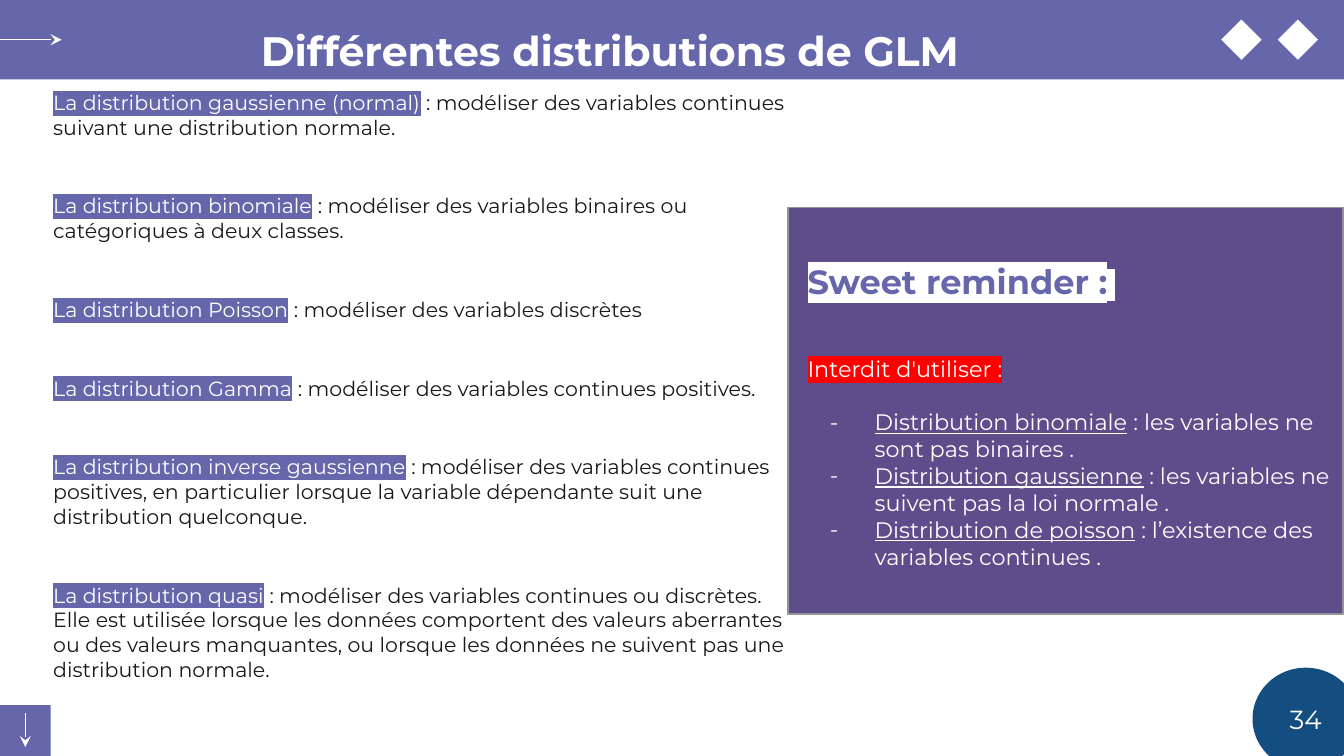
from pptx import Presentation
from pptx.dml.color import RGBColor
from pptx.enum.shapes import MSO_CONNECTOR as Connector, MSO_SHAPE as Shape
from pptx.enum.text import MSO_ANCHOR as Anchor, MSO_AUTO_SIZE as AutoSize, PP_ALIGN as Align
from pptx.oxml.ns import qn
from pptx.util import Pt
from lxml.etree import SubElement

WHITE = RGBColor(0xFF, 0xFF, 0xFF)
INK = RGBColor(0x19, 0x19, 0x19)
LILAC = RGBColor(0x66, 0x67, 0xAB)
PURPLE = RGBColor(0x5F, 0x4C, 0x8A)
GREY = RGBColor(0x91, 0x93, 0x97)
BLUE = RGBColor(0x14, 0x4D, 0x80)
RED = RGBColor(0xFF, 0x00, 0x00)

DISTRIBUTIONS = [
    ("La distribution gaussienne (normal)",
     " : modéliser des variables continues suivant une distribution normale."),
    ("La distribution binomiale",
     " : modéliser des variables binaires ou catégoriques à deux classes."),
    ("La distribution Poisson", " : modéliser des variables discrètes"),
    ("La distribution Gamma", " : modéliser des variables continues positives."),
    ("La distribution inverse gaussienne",
     " : modéliser des variables continues positives, en particulier lorsque la variable "
     "dépendante suit une distribution quelconque."),
    ("La distribution quasi",
     " : modéliser des variables continues ou discrètes. Elle est utilisée lorsque les données "
     "comportent des valeurs aberrantes ou des valeurs manquantes, ou lorsque les données ne "
     "suivent pas une distribution normale."),
]
FORBIDDEN = [
    ("Distribution binomiale", " : les variables ne sont pas binaires ."),
    ("Distribution gaussienne", " : les variables ne suivent pas la loi normale ."),
    ("Distribution de poisson", " : l’existence des variables continues ."),
]


def add_span(para, text, size=12, color=WHITE, bold=False, underline=False, highlight=None):
    span = para.add_run()
    span.text = text
    font = span.font
    font.size, font.bold, font.underline = Pt(size), bold, underline
    font.color.rgb = color
    font.name = "Montserrat"
    if highlight is not None:
        properties = span._r.get_or_add_rPr()
        mark = SubElement(properties, qn("a:highlight"))
        SubElement(mark, qn("a:srgbClr"), val=str(highlight))
        properties.find(qn("a:latin")).addprevious(mark)


def set_bullet(para, mark=None, margin=0, indent=0):
    """Give a paragraph a white bullet, or none, and its hanging indent."""
    properties = para._p.get_or_add_pPr()
    properties.set("marL", str(Pt(margin)))
    properties.set("indent", str(Pt(indent)))
    if mark is None:
        SubElement(properties, qn("a:buNone"))
        return
    color = SubElement(properties, qn("a:buClr"))
    SubElement(color, qn("a:srgbClr"), val=str(WHITE))
    SubElement(properties, qn("a:buFont"), typeface="Montserrat")
    SubElement(properties, qn("a:buChar"), char=mark)


class Builder:
    inset = Pt(7.2)
    line_width = Pt(0.75)

    def __init__(self, page):
        self.page = page

    def shape(self, kind, left, top, width, height, fill, line=None):
        shape = self.page.shapes.add_shape(kind, Pt(left), Pt(top), Pt(width), Pt(height))
        shape.shadow.inherit = False
        shape.fill.solid()
        shape.fill.fore_color.rgb = fill
        if line is None:
            shape.line.fill.background()
        else:
            shape.line.color.rgb = line
            shape.line.width = self.line_width
        return shape

    def arrow(self, x1, y1, x2, y2):
        arrow = self.page.shapes.add_connector(
            Connector.STRAIGHT, Pt(x1), Pt(y1), Pt(x2), Pt(y2))
        arrow.line.color.rgb = WHITE
        arrow.line.width = self.line_width
        SubElement(arrow.line._get_or_add_ln(), qn("a:tailEnd"), type="stealth")
        SubElement(arrow._element.spPr, qn("a:effectLst"))

    def frame(self, box, anchor=Anchor.TOP):
        """Set up the text frame of a box and return it."""
        frame = box.text_frame
        frame.word_wrap = True
        frame.auto_size = AutoSize.NONE
        frame.vertical_anchor = anchor
        frame.margin_left = frame.margin_right = self.inset
        frame.margin_top = frame.margin_bottom = self.inset
        return frame

    def placeholder(self, index, left, top, width, height):
        """Place a template placeholder in front of what is drawn so far."""
        box = self.page.placeholders[index]
        box.left, box.top, box.width, box.height = Pt(left), Pt(top), Pt(width), Pt(height)
        box.element.getparent().append(box.element)
        return self.frame(box)

    def text(self, left, top, width, height):
        return self.frame(self.page.shapes.add_textbox(Pt(left), Pt(top), Pt(width), Pt(height)))

    def paragraph(self, frame, before=0, align=Align.LEFT, first=False):
        para = frame.paragraphs[0] if first else frame.add_paragraph()
        para.alignment = align
        para.space_before, para.space_after = Pt(before), Pt(0)
        return para


def main():
    deck = Presentation()
    deck.slide_width, deck.slide_height = Pt(720), Pt(405)
    page = deck.slides.add_slide(deck.slide_layouts[1])
    build = Builder(page)

    build.shape(Shape.RECTANGLE, 0, 0, 720, 42.5, LILAC)
    for left in (654.3, 684.5):
        build.shape(Shape.DIAMOND, left, 10.5, 21.6, 21.6, WHITE)
    build.arrow(0, 21.3, 33, 21.3)
    build.shape(Shape.RECTANGLE, 0, 377.8, 27.2, 27.2, LILAC)
    build.arrow(13.6, 382.2, 13.6, 400.2)
    build.shape(Shape.RECTANGLE, 422.2, 111.2, 297.4, 217.8, PURPLE, line=GREY)

    title = build.paragraph(build.placeholder(0, 132.5, -1.4, 632, 75.6), first=True)
    title.line_spacing = 1.3
    add_span(title, "Différentes distributions de GLM", size=22, bold=True)

    body = build.placeholder(1, 21.3, 41, 411, 390)
    for number, (name, use) in enumerate(DISTRIBUTIONS):
        para = build.paragraph(body, before=29 if number else 0, first=number == 0)
        set_bullet(para)
        add_span(para, name, size=11, highlight=LILAC)
        add_span(para, use, size=11, color=INK)

    reminder = build.text(425.5, 132.5, 303, 181.4)
    heading = build.paragraph(reminder, first=True)
    add_span(heading, "Sweet reminder :", size=18, color=LILAC, bold=True, highlight=WHITE)
    add_span(heading, " ", size=14, color=LILAC, bold=True, highlight=WHITE)
    add_span(build.paragraph(reminder, before=28.8), "Interdit d'utiliser :", highlight=RED)
    for number, (name, reason) in enumerate(FORBIDDEN):
        para = build.paragraph(reminder, before=0 if number else 14.4)
        set_bullet(para, "-", margin=36, indent=-24)
        add_span(para, name, underline=True)
        add_span(para, reason)

    circle = build.shape(Shape.OVAL, 671, 357.7, 57, 54.8, BLUE)
    number = build.paragraph(build.frame(circle, Anchor.MIDDLE), align=Align.CENTER, first=True)
    add_span(number, "34", size=14)

    deck.save("out.pptx")


if __name__ == "__main__":
    main()
